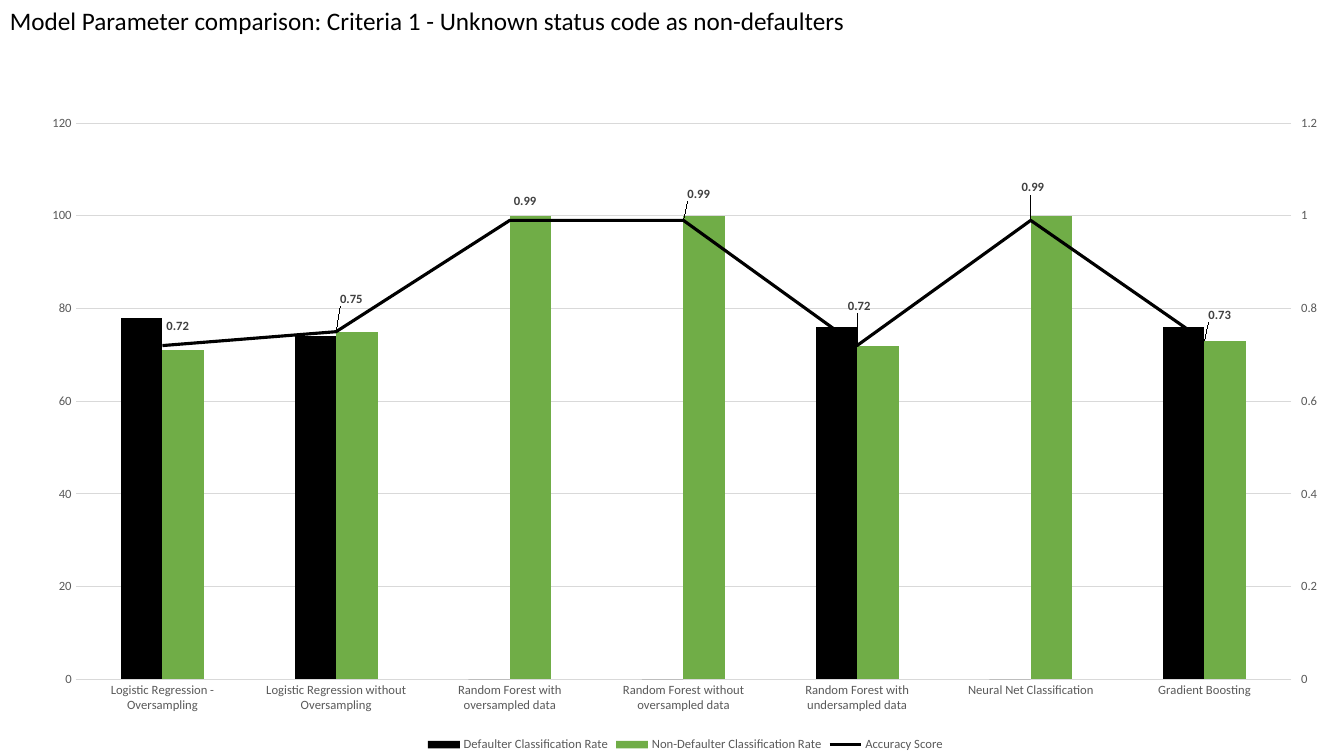
"""Build a slide comparing classification rates and accuracy of seven models."""
import copy
from dataclasses import dataclass

import pptx
import pptx.chart.axis
import pptx.chart.data
import pptx.dml.color
import pptx.enum.chart
import pptx.enum.text
import pptx.oxml
import pptx.oxml.ns
import pptx.util

qn = pptx.oxml.ns.qn
XL = pptx.enum.chart


@dataclass(frozen=True)
class Theme:
    font: str = "Calibri"
    title_size: int = 18
    base_size: int = 10
    small_size: int = 9
    black: str = "000000"
    green: str = "70AD47"
    grid: str = "D9D9D9"
    axis_text: str = "595959"
    label_text: str = "404040"
    hairline: float = 0.75
    accuracy_line: float = 2.25


MODELS = [
    "Logistic Regression - Oversampling",
    "Logistic Regression without Oversampling",
    "Random Forest with oversampled data",
    "Random Forest without oversampled data",
    "Random Forest with undersampled data",
    "Neural Net Classification",
    "Gradient Boosting",
]
RATES = {
    "Defaulter Classification Rate": [78, 74, 0, 0, 76, 0, 76],
    "Non-Defaulter Classification Rate": [71, 75, 100, 100, 72, 100, 73],
}
ACCURACY = [0.72, 0.75, 0.99, 0.99, 0.72, 0.99, 0.73]
LABEL_SHIFTS = [(0, -0.03), (0, -0.05), (0, -0.03), (0, -0.04),
                (-0.01, -0.06), (-0.01, -0.05), (0, -0.04)]


def manual_layout(inner=False, **places):
    """Return a c:layout element with the given places."""
    target = '<c:layoutTarget val="inner"/>' if inner else ""
    modes = '<c:xMode val="edge"/><c:yMode val="edge"/>' if inner else ""
    values = "".join(f'<c:{key} val="{val}"/>' for key, val in places.items())
    return pptx.oxml.parse_xml(
        f'<c:layout {pptx.oxml.ns.nsdecls("c")}><c:manualLayout>'
        f"{target}{modes}{values}</c:manualLayout></c:layout>")


class Deck:
    """Hold the style and the current slide."""

    def __init__(self, theme):
        self.theme = theme
        self.prs = pptx.Presentation()
        self.prs.slide_width = pptx.util.Inches(13.33)
        self.prs.slide_height = pptx.util.Inches(7.5)
        self.s = self.prs.slides.add_slide(self.prs.slide_layouts[6])

    def box(self, x, y, w, h):
        """Turn shares of the slide into lengths."""
        W, H = self.prs.slide_width, self.prs.slide_height
        return [pptx.util.Emu(round(v)) for v in (x * W, y * H, w * W, h * H)]

    def style_font(self, font, size, color, bold=None):
        """Apply the theme typeface with a size and a colour."""
        font.name, font.size, font.bold = self.theme.font, pptx.util.Pt(size), bold
        font.color.rgb = pptx.dml.color.RGBColor.from_string(color)

    def style_line(self, line, color, width):
        """Draw a line in one colour."""
        line.color.rgb = pptx.dml.color.RGBColor.from_string(color)
        line.width = pptx.util.Pt(width)

    def title(self, text, *place):
        """Add the slide heading."""
        tf = self.s.shapes.add_textbox(*self.box(*place)).text_frame
        tf.word_wrap = True
        tf.auto_size = pptx.enum.text.MSO_AUTO_SIZE.SHAPE_TO_FIT_TEXT
        p = tf.paragraphs[0]
        p.text = text
        self.style_font(p.font, self.theme.title_size, self.theme.black)

    def combo_chart(self, *place):
        """Add the columns with the accuracy line on a second axis."""
        t = self.theme
        data = pptx.chart.data.CategoryChartData()
        data.categories = MODELS
        for name, values in {**RATES, "Accuracy Score": ACCURACY}.items():
            data.add_series(name, values)
        chart = self.s.shapes.add_chart(
            XL.XL_CHART_TYPE.COLUMN_CLUSTERED, *self.box(*place), data).chart
        chart.has_title = False
        self.style_font(chart.font, t.base_size, t.black)
        chart.has_legend = True
        chart.legend.position = XL.XL_LEGEND_POSITION.BOTTOM
        chart.legend.include_in_layout = False
        self.style_font(chart.legend.font, t.small_size, t.axis_text)

        for axis in (chart.category_axis, chart.value_axis):
            axis.major_tick_mark = axis.minor_tick_mark = XL.XL_TICK_MARK.NONE
            self.style_font(axis.tick_labels.font, t.small_size, t.axis_text)
        self.style_line(chart.category_axis.format.line, t.grid, t.hairline)
        rate_axis = chart.value_axis
        rate_axis.format.line.fill.background()
        rate_axis.minimum_scale, rate_axis.maximum_scale = 0, 120
        rate_axis.major_unit = 20
        self.style_line(rate_axis.major_gridlines.format.line, t.grid, t.hairline)

        columns = chart.plots[0]
        columns.gap_width, columns.overlap = 219, 0
        columns.vary_by_categories = False
        for series, color in zip(columns.series, (t.black, t.green)):
            series.format.fill.solid()
            series.format.fill.fore_color.rgb = pptx.dml.color.RGBColor.from_string(color)
        self.move_to_second_axis(chart)
        self.accuracy_line(chart.plots[1].series[0])

        area = chart._chartSpace.chart.plotArea
        for old in area.findall(qn("c:layout")):
            area.remove(old)
        area.insert(0, manual_layout(True, x=0.037, y=0.031, w=0.923, h=0.852))

    def move_to_second_axis(self, chart):
        """Turn the last column series into a line with its own axes."""
        area = chart._chartSpace.chart.plotArea
        bars = area.find(qn("c:barChart"))
        ser = bars.findall(qn("c:ser"))[-1]
        for flag in ser.findall(qn("c:invertIfNegative")):
            ser.remove(flag)
        lines = pptx.oxml.parse_xml(
            f'<c:lineChart {pptx.oxml.ns.nsdecls("c")}><c:grouping val="standard"/>'
            '<c:varyColors val="0"/><c:marker val="1"/>'
            '<c:axId val="5001"/><c:axId val="5002"/></c:lineChart>')
        lines.insert(2, ser)
        bars.addnext(lines)

        val_ax = area.find(qn("c:valAx"))
        right = copy.deepcopy(val_ax)
        hidden = copy.deepcopy(area.find(qn("c:catAx")))
        val_ax.addnext(right)
        right.addnext(hidden)
        for ax, own, other in ((right, "5002", "5001"), (hidden, "5001", "5002")):
            ax.find(qn("c:axId")).set("val", own)
            ax.find(qn("c:crossAx")).set("val", other)
        right.find(qn("c:axPos")).set("val", "r")
        right.find(qn("c:crosses")).set("val", "max")
        pptx.chart.axis.CategoryAxis(hidden).visible = False
        accuracy_axis = pptx.chart.axis.ValueAxis(right)
        accuracy_axis.has_major_gridlines = False
        accuracy_axis.major_tick_mark = XL.XL_TICK_MARK.OUTSIDE
        accuracy_axis.maximum_scale, accuracy_axis.major_unit = 1.2, 0.2

    def accuracy_line(self, series):
        """Style the accuracy line and place its labels."""
        t = self.theme
        series.smooth = False
        series.marker.style = XL.XL_MARKER_STYLE.NONE
        self.style_line(series.format.line, t.black, t.accuracy_line)
        labels = series.data_labels
        labels.show_value = True
        labels.position = XL.XL_LABEL_POSITION.RIGHT
        self.style_font(labels.font, t.small_size, t.label_text, True)
        for i in range(len(MODELS)):
            label = series.points[i].data_label
            label.position = XL.XL_LABEL_POSITION.RIGHT
            self.style_font(label.font, t.small_size, t.label_text, True)
        for label, (x, y) in zip(series._element.xpath("c:dLbls/c:dLbl"), LABEL_SHIFTS):
            label.find(qn("c:idx")).addnext(manual_layout(x=x, y=y))


def main():
    deck = Deck(Theme())
    deck.combo_chart(0.02, 0.136, 0.98, 0.864)
    deck.title("Model Parameter comparison: Criteria 1 - "
               "Unknown status code as non-defaulters", 0, 0, 0.76, 0.053)
    deck.prs.save("out.pptx")


if __name__ == "__main__":
    main()
